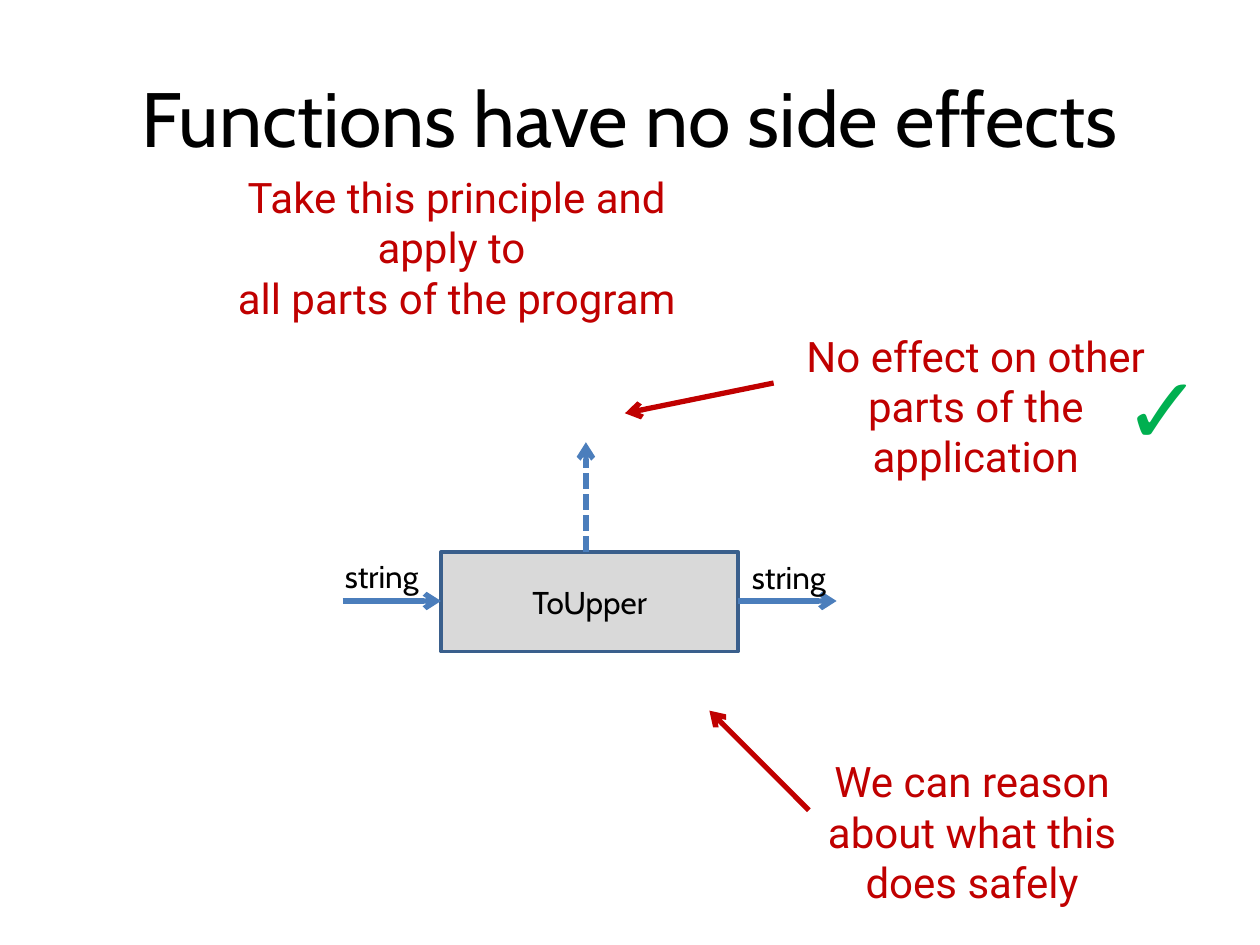
from pptx import Presentation
from pptx.dml.color import RGBColor
from pptx.enum.dml import MSO_LINE
from pptx.enum.shapes import MSO_CONNECTOR, MSO_SHAPE
from pptx.enum.text import MSO_ANCHOR, MSO_AUTO_SIZE, PP_ALIGN
from pptx.oxml.ns import qn
from pptx.util import Emu, Pt
from lxml import etree

PX = 9144  # 100 px to the inch
LEFT, MID, RIGHT = PP_ALIGN.LEFT, PP_ALIGN.CENTER, PP_ALIGN.RIGHT
TOP, CENTER = MSO_ANCHOR.TOP, MSO_ANCHOR.MIDDLE
GROW, FIXED = MSO_AUTO_SIZE.SHAPE_TO_FIT_TEXT, MSO_AUTO_SIZE.NONE
RECT, STRAIGHT = MSO_SHAPE.RECTANGLE, MSO_CONNECTOR.STRAIGHT
DASH = MSO_LINE.SQUARE_DOT

BLACK = RGBColor(0x00, 0x00, 0x00)
GREY = RGBColor(0xD9, 0xD9, 0xD9)
NAVY = RGBColor(0x3A, 0x5F, 0x8C)
BLUE = RGBColor(0x4B, 0x7E, 0xBC)
RED = RGBColor(0xC0, 0x00, 0x00)
GREEN = RGBColor(0x00, 0xB0, 0x50)


def px(*nums):
    return [Emu(n * PX) for n in nums]


def write(frame, text, size=18, font="Cabin", color=BLACK, align=LEFT,
          anchor=TOP, fit=GROW):
    frame.word_wrap = True
    frame.auto_size = fit
    frame.vertical_anchor = anchor
    para = frame.paragraphs[0]
    para.text = text
    para.alignment = align
    for run in para.runs:
        run.font.size = Pt(size)
        run.font.name = font
        run.font.color.rgb = color


class Deck:
    def __init__(self, wide, high):
        self.prs = Presentation()
        self.prs.slide_width, self.prs.slide_height = px(wide, high)
        self.slide = self.prs.slides.add_slide(self.prs.slide_layouts[6])
        self.shapes = self.slide.shapes

    def text(self, area, text, **style):
        box = self.shapes.add_textbox(*px(*area))
        write(box.text_frame, text, **style)

    def note(self, area, text):
        """Red remark in the second font."""
        self.text(area, text, size=24, font="Roboto", color=RED, align=MID)

    def box(self, area, text):
        shape = self.shapes.add_shape(RECT, *px(*area))
        shape.shadow.inherit = False
        shape.fill.solid()
        shape.fill.fore_color.rgb = GREY
        shape.line.color.rgb = NAVY
        shape.line.width = Pt(2)
        write(shape.text_frame, text, align=MID, anchor=CENTER, fit=FIXED)

    def arrow(self, start, end, color=BLUE, dash=None):
        link = self.shapes.add_connector(STRAIGHT, *px(*start, *end))
        link.line.color.rgb = color
        link.line.width = Pt(3)
        if dash:
            link.line.dash_style = dash
        props = link._element.spPr
        tip = etree.SubElement(props.find(qn("a:ln")), qn("a:tailEnd"))
        tip.set("type", "arrow")
        etree.SubElement(props, qn("a:effectLst"))


def main():
    deck = Deck(1000, 750)
    deck.text((50, 30, 900, 125), "Functions have no side effects",
              size=44, align=MID, anchor=CENTER, fit=FIXED)

    # The function with its input, output and side effect
    left, top, wide, high = 350, 438, 236, 79
    reach, flow = 78, 477
    right = left + wide
    deck.box((left, top, wide, high), "ToUpper")
    for start in (left - reach, right):
        deck.arrow((start, flow), (start + reach, flow))
    deck.text((240, 437, 102, 40), "string", align=RIGHT)
    deck.text((587, 438, 177, 40), "string")
    deck.arrow((465, top), (465, 351), dash=DASH)

    deck.note((146, 131, 433, 91),
              "Take this principle and apply to \nall parts of the program")
    deck.note((598, 257, 353, 91),
              "No effect on other parts of the application")
    deck.arrow((614, 304), (496, 328), RED)
    deck.text((882, 273, 87, 101), "✓", size=54, color=GREEN)
    deck.note((618, 595, 307, 91),
              "We can reason about what this does safely")
    deck.arrow((642, 643), (563, 564), RED)

    deck.prs.save("out.pptx")


if __name__ == "__main__":
    main()
